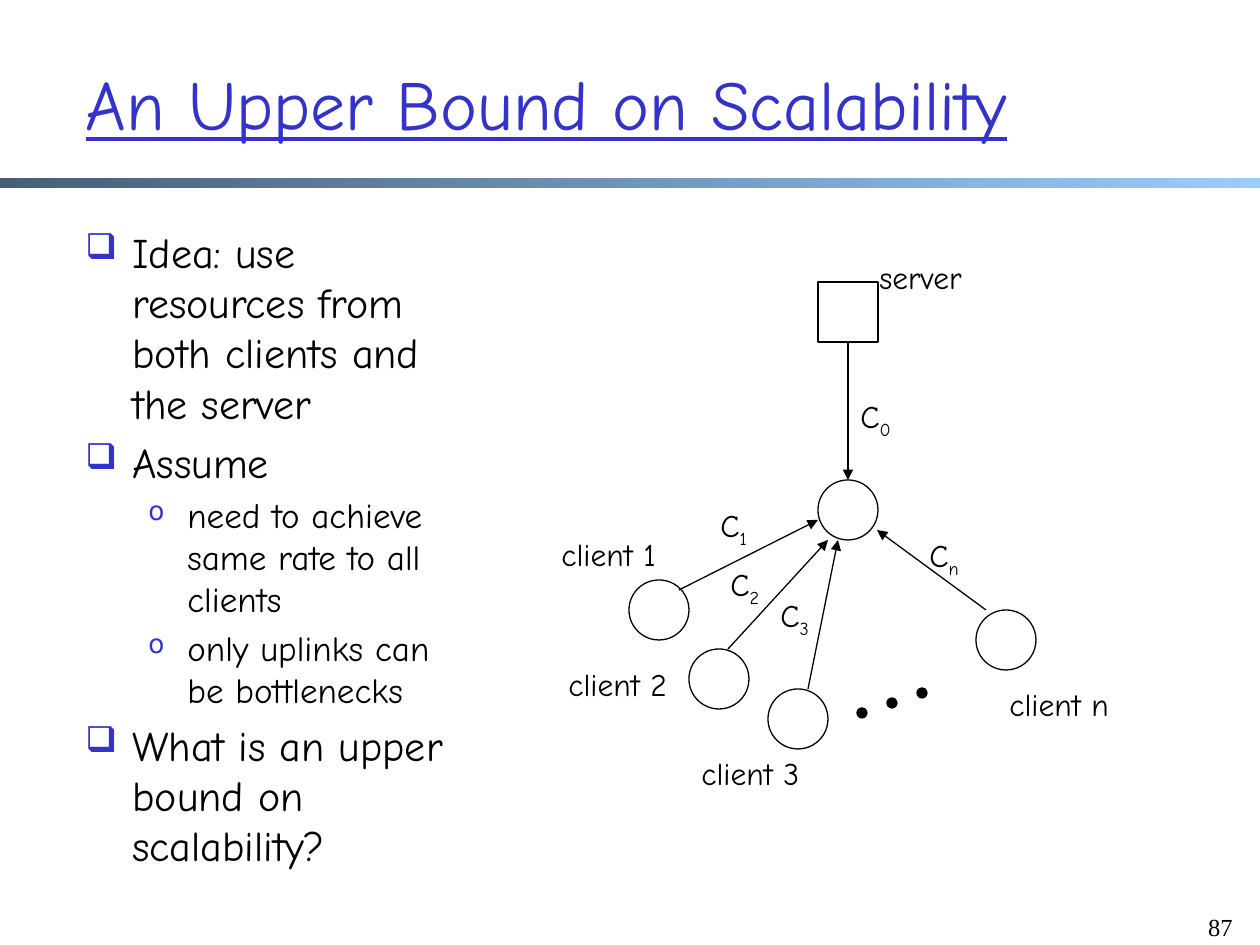
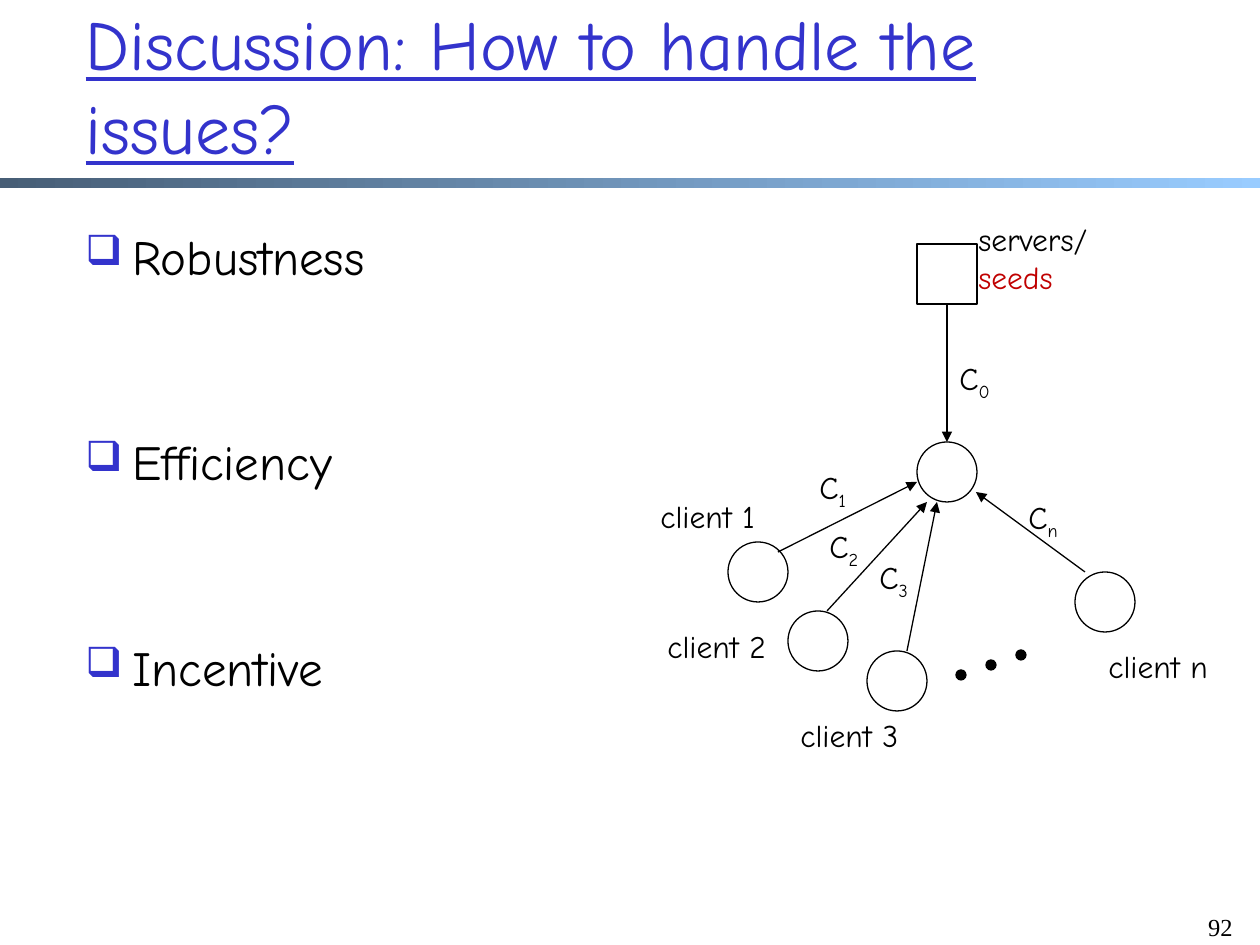
from lxml.etree import SubElement as sub_el
from pptx import Presentation
from pptx.dml.color import RGBColor as RGB
from pptx.enum.shapes import MSO_CONNECTOR as LINK, MSO_SHAPE as SHAPE
from pptx.enum.text import MSO_ANCHOR as ANCHOR, MSO_AUTO_SIZE as FIT, PP_ALIGN as ALIGN
from pptx.oxml.ns import qn
from pptx.util import Emu, Pt

SCALE = 914400 / 126  # EMU in one px
HAND, SERIF = "Comic Neue", "Times New Roman"
COLORS = {"blue": "3333CC", "black": "000000", "red": "C00000",
          "dark": "475E76", "light": "99CCFF"}

# Bullet levels: sign, size in %, left margin and hang in px
BULLETS = [("❑", 85, 47, 47), ("o", 75, 102, 39)]

NODE, DOT = 60, 10
HUB = (818, 480)
# Per client: name, node, arrow start, arrow end, name label, rate label
CLIENTS = [
    ("1", (629, 580), (679, 590), (818, 520), (549, 529), (708, 500)),
    ("2", (689, 649), (728, 649), (828, 540), (556, 659), (718, 559)),
    ("3", (768, 689), (808, 689), (838, 540), (689, 748), (768, 590)),
    ("n", (976, 610), (986, 610), (877, 530), (997, 679), (917, 530)),
]


def px(*vals):
    return [Emu(round(v * SCALE)) for v in vals]


def color(name):
    return RGB.from_string(COLORS[name])


def style(para, size, name="black", face=HAND):
    font = para.font
    font.size, font.name = Pt(size), face
    font.color.rgb = color(name)


def add_box(shapes, x, y, w, h):
    frame = shapes.add_textbox(*px(x, y, w, h)).text_frame
    frame.word_wrap = True
    return frame


# Shared parts of each slide
def add_band(slide):
    band = slide.shapes.add_shape(SHAPE.RECTANGLE, *px(0, 178, 1260, 10))
    band.shadow.inherit = False
    band.line.fill.background()
    band.fill.gradient()
    band.fill.gradient_angle = 0
    for stop, pos, name in zip(band.fill.gradient_stops, (0, 1), ("dark", "light")):
        stop.position = pos
        stop.color.rgb = color(name)


def set_title(slide, text, top):
    title = slide.shapes.title
    title.left, title.top, title.width, title.height = px(73, top, 1071, 157)
    frame = title.text_frame
    frame.text = text
    frame.word_wrap, frame.auto_size = True, FIT.NONE
    frame.vertical_anchor = ANCHOR.MIDDLE
    para = frame.paragraphs[0]
    para.alignment = ALIGN.LEFT
    style(para, 40, "blue")
    para.font.underline = True


def add_number(slide, num):
    para = add_box(slide.shapes, 1182, 906, 63, 63).paragraphs[0]
    para.text = str(num)
    para.alignment = ALIGN.RIGHT
    style(para, 14, face=SERIF)


def add_slide(deck, title, top, num):
    slide = deck.slides.add_slide(deck.slide_layouts[5])
    add_band(slide)
    set_title(slide, title, top)
    add_number(slide, num)
    return slide


# Bulleted text
def set_bullet(para, level):
    sign, size, margin, hang = BULLETS[level]
    props = para._p.get_or_add_pPr()
    left, indent = px(margin, -hang)
    props.set("marL", str(left))
    props.set("indent", str(indent))
    tint = sub_el(props, qn("a:buClr"))
    sub_el(tint, qn("a:srgbClr"), val=COLORS["blue"])
    sub_el(props, qn("a:buSzPct"), val=str(size * 1000))
    sub_el(props, qn("a:buChar"), char=sign)


def add_list(slide, width, items, sizes, gap=None):
    frame = add_box(slide.shapes, 73, 220, width, 640)
    for i, (level, text) in enumerate(items):
        para = frame.add_paragraph() if i else frame.paragraphs[0]
        para.text, para.level = text, level
        set_bullet(para, level)
        if i:
            para.space_before = Pt(gap or sizes[level] * 0.2)
        style(para, sizes[level])


# Network diagram
def add_node(shapes, kind, x, y, size=NODE, fill=None):
    node = shapes.add_shape(kind, *px(x, y, size, size))
    node.shadow.inherit = False
    if fill:
        node.fill.solid()
        node.fill.fore_color.rgb = color(fill)
    else:
        node.fill.background()
    node.line.color.rgb = color("black")
    node.line.width = Pt(0.75)
    return node


def add_arrow(shapes, start, end):
    arrow = shapes.add_connector(LINK.STRAIGHT, *px(*start, *end))
    arrow.line.color.rgb = color("black")
    arrow.line.width = Pt(0.75)
    sub_el(arrow.line._get_or_add_ln(), qn("a:tailEnd"), type="triangle")
    sub_el(arrow._element.spPr, qn("a:effectLst"))
    return arrow


def add_label(shapes, x, y, width, text, sub=""):
    para = add_box(shapes, x, y, width, 50).paragraphs[0]
    para.add_run().text = text
    if sub:
        run = para.add_run()
        run.text = sub
        run._r.get_or_add_rPr().set("baseline", "-25000")
    style(para, 18)
    return para


def add_net(slide, server, extra="", dx=0, dy=0):
    shapes = slide.shapes.add_group_shape().shapes

    def at(spot):
        return spot[0] + dx, spot[1] + dy

    # Server and hub
    root = add_node(shapes, SHAPE.RECTANGLE, *at((818, 282)))
    hub = add_node(shapes, SHAPE.OVAL, *at(HUB))
    link = add_arrow(shapes, at((848, 342)), at((848, 480)))
    link.begin_connect(root, 2)
    link.end_connect(hub, 0)
    para = add_label(shapes, *at((867, 252)), 169, server)
    if extra:
        para.add_line_break()
        run = para.add_run()
        run.text = extra
        run.font.color.rgb = color("red")
    add_label(shapes, *at((848, 391)), 89, "C", "0")

    # Clients
    for name, node, start, end, label, rate in CLIENTS:
        add_node(shapes, SHAPE.OVAL, *at(node))
        add_arrow(shapes, at(start), at(end))
        add_label(shapes, *at(label), 139, f"client {name}")
        add_label(shapes, *at(rate), 89, "C", name)

    # Dots for the clients left out
    for i in range(3):
        add_node(shapes, SHAPE.OVAL, *at((857 + 30 * i, 708 - 10 * i)), DOT, "black")


def main():
    deck = Presentation()
    deck.slide_width, deck.slide_height = px(1260, 945)

    bound = add_slide(deck, "An Upper Bound on Scalability", 24, 87)
    add_list(bound, 417, [
        (0, "Idea: use resources from both clients and the server"),
        (0, "Assume"),
        (1, "need to achieve same rate to all clients"),
        (1, "only uplinks can be bottlenecks"),
        (0, "What is an upper bound on scalability?"),
    ], (24, 20))
    add_net(bound, "server")

    issues = add_slide(deck, "Discussion: How to handle the issues?", 6, 92)
    topics = [(0, text) for text in ("Robustness", "Efficiency", "Incentive")]
    add_list(issues, 547, topics, (28,), gap=84)
    add_net(issues, "servers/", "seeds", dx=99, dy=-38)

    deck.save("out.pptx")


if __name__ == "__main__":
    main()
